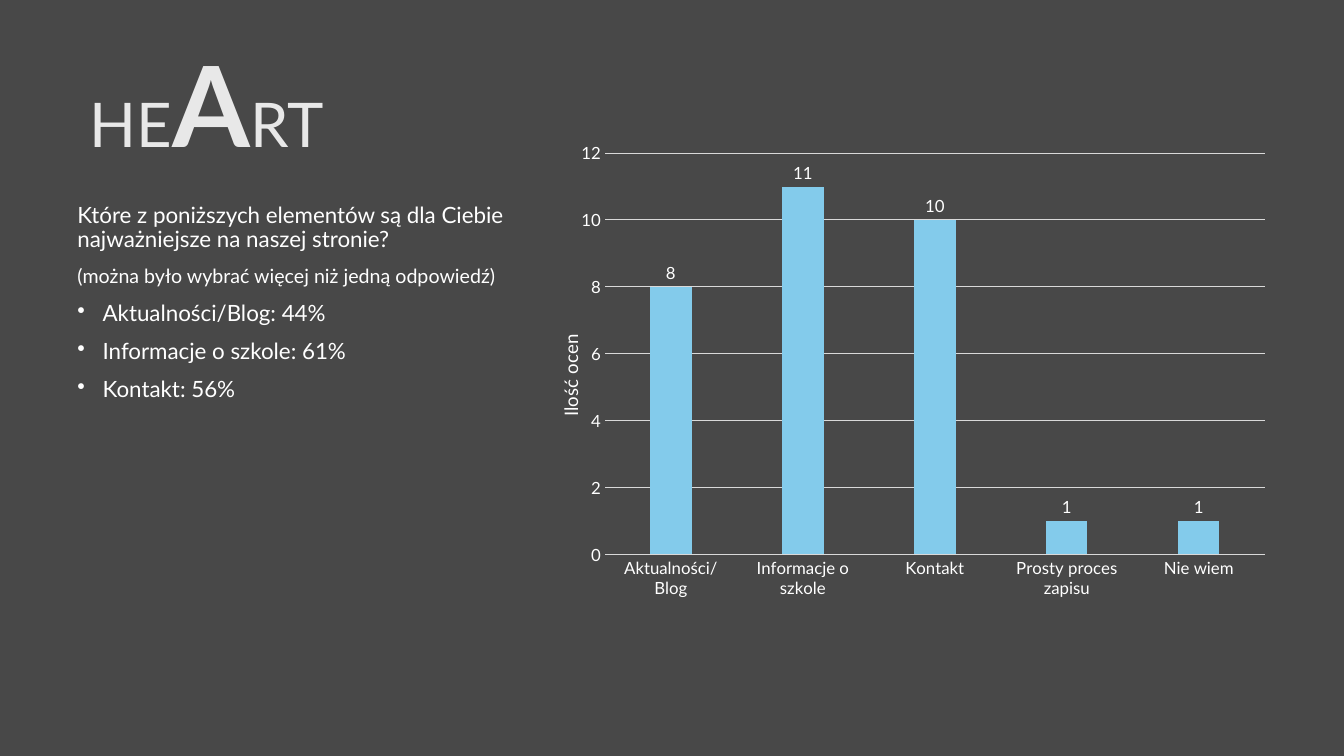
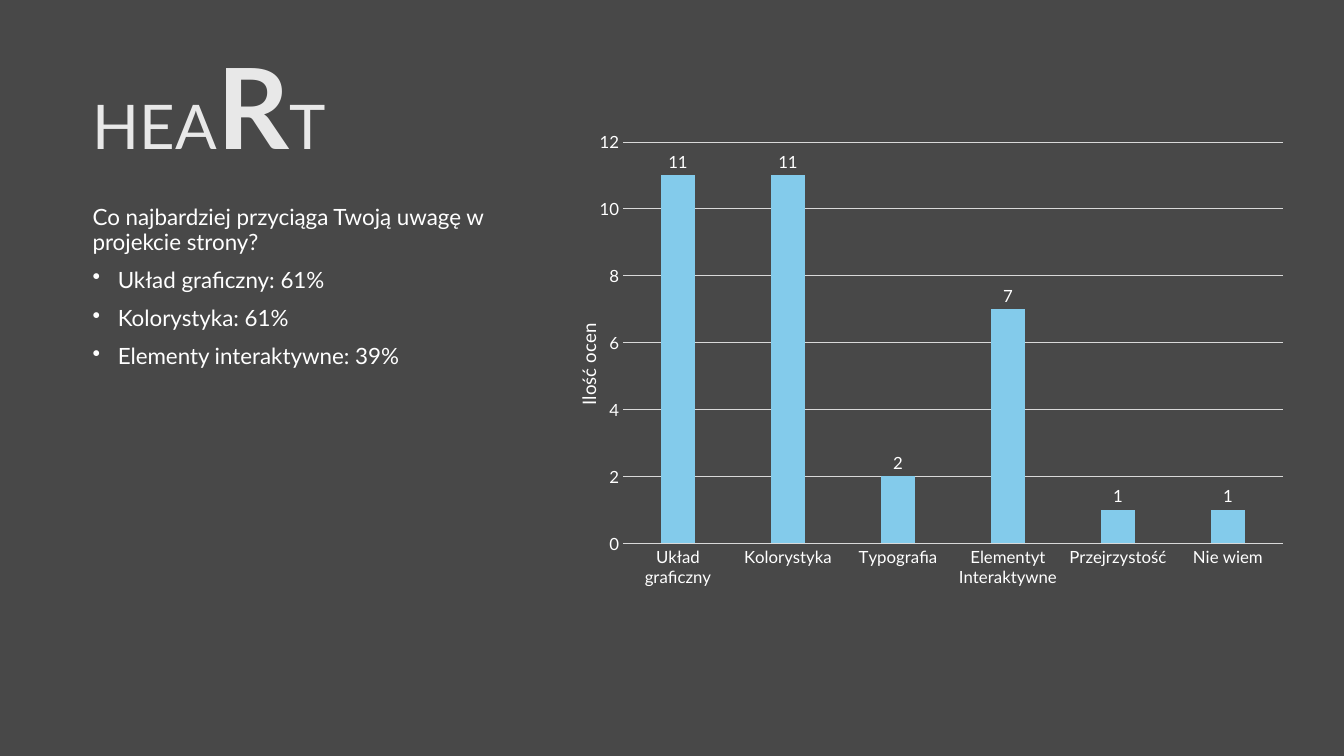
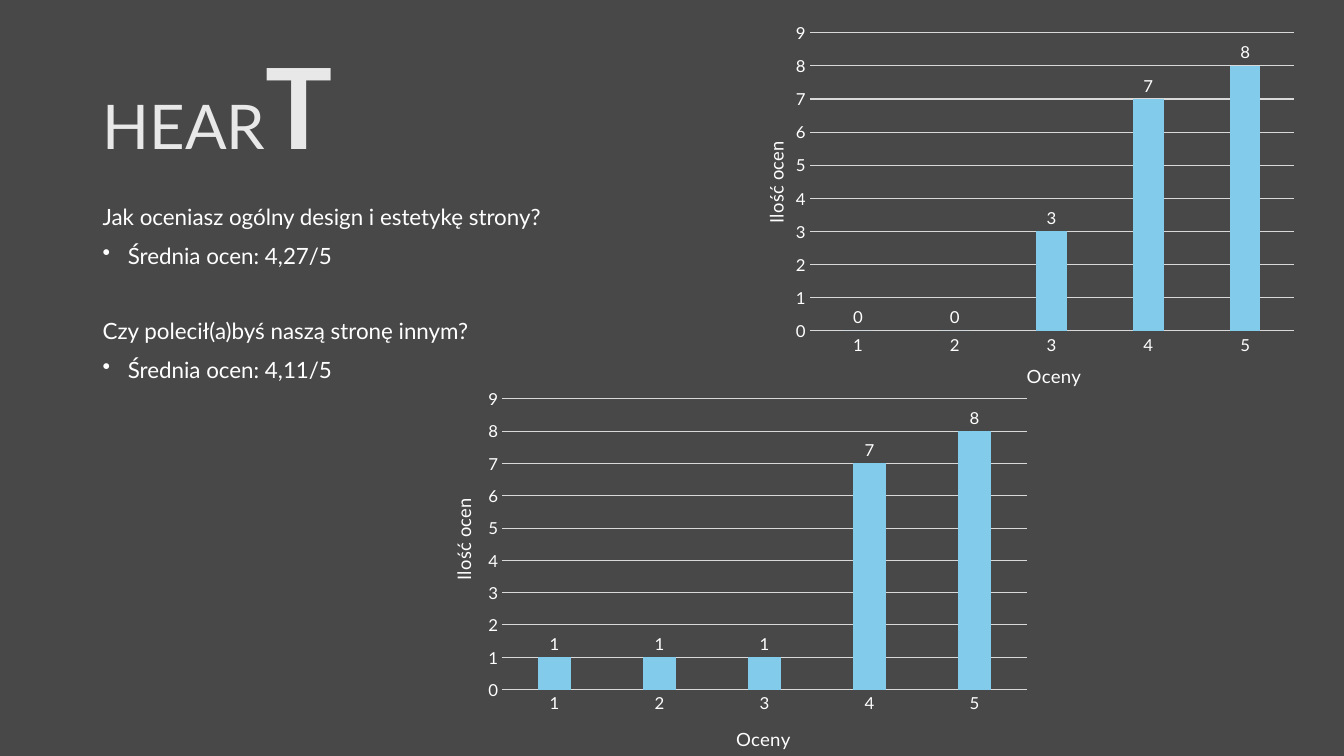
"""Build three survey result slides with a HEART title, findings and column charts."""
from lxml import etree
from pptx import Presentation
from pptx.chart.data import CategoryChartData
from pptx.dml.color import RGBColor
from pptx.enum.chart import XL_CHART_TYPE as CHART, XL_LABEL_POSITION as LABEL, XL_TICK_MARK as TICK
from pptx.enum.shapes import MSO_SHAPE as SHAPE
from pptx.enum.text import MSO_ANCHOR as ANCHOR
from pptx.oxml.ns import qn
from pptx.util import Inches, Pt

VEIL = RGBColor(0x0C, 0x0C, 0x0C)
TITLE = RGBColor(0xE8, 0xE8, 0xE8)
WHITE = RGBColor(0xFF, 0xFF, 0xFF)
GRID = RGBColor(0xD9, 0xD9, 0xD9)
BAR = RGBColor(0x83, 0xCB, 0xEB)
FONT = "Lato"
WORD = "HEART"
VALUE_TITLE, CATEGORY_TITLE = "Ilość ocen", "Oceny"
GRADES = ["1", "2", "3", "4", "5"]


def style(font, size, color=WHITE, bold=False):
    """Set the face, size, colour and weight of a font."""
    font.name, font.size, font.bold = FONT, Pt(size), bold
    font.color.rgb = color


def place(parent, index, **fractions):
    """Give a chart part a manual layout in fractions of the chart."""
    for old in parent.findall(qn("c:layout")):
        parent.remove(old)
    layout = etree.Element(qn("c:layout"))
    manual = etree.SubElement(layout, qn("c:manualLayout"))
    if "w" in fractions:
        etree.SubElement(manual, qn("c:layoutTarget")).set("val", "inner")
    for key in "xy":
        etree.SubElement(manual, qn(f"c:{key}Mode")).set("val", "edge")
    for key, value in fractions.items():
        etree.SubElement(manual, qn(f"c:{key}")).set("val", f"{value:.4f}")
    parent.insert(index, layout)


SLIDES = [
    {
        "letter": 2,
        "title": (0.79, 0.38),
        "body": (0.67, 1.98, 4.7),
        "text": [
            ("Które z poniższych elementów są dla Ciebie najważniejsze na naszej stronie?", 16, False),
            ("(można było wybrać więcej niż jedną odpowiedź)", 14, False),
            ("Aktualności/Blog: 44%", 16, True),
            ("Informacje o szkole: 61%", 16, True),
            ("Kontakt: 56%", 16, True),
        ],
        "charts": [{
            "at": (5.42, 1.28, 7.13, 4.75), "plot": (0.58, 0.24, 6.55, 3.98),
            "value_title": (0.07, 2), "top": 12, "step": 2,
            "cats": ["Aktualności/Blog", "Informacje o szkole", "Kontakt", "Prosty proces zapisu", "Nie wiem"],
            "vals": [8, 11, 10, 1, 1],
        }],
    },
    {
        "letter": 3,
        "title": (0.82, 0.4),
        "body": (0.82, 2, 4.57),
        "text": [
            ("Co najbardziej przyciąga Twoją uwagę w projekcie strony?", 16, False),
            ("Układ graficzny: 61%", 16, True),
            ("Kolorystyka: 61%", 16, True),
            ("Elementy interaktywne: 39%", 16, True),
        ],
        "charts": [{
            "at": (5.6, 1.17, 7.13, 4.75), "plot": (0.58, 0.24, 6.55, 3.98),
            "value_title": (0.07, 2), "top": 12, "step": 2,
            "cats": ["Układ graficzny", "Kolorystyka", "Typografia", "Elementyt Interaktywne",
                     "Przejrzystość", "Nie wiem"],
            "vals": [11, 11, 2, 7, 1, 1],
        }],
    },
    {
        "letter": 4,
        "title": (0.92, 0.4),
        "body": (0.92, 2, 5.57),
        "text": [
            ("Jak oceniasz ogólny design i estetykę strony?", 16, False),
            ("Średnia ocen: 4,27/5", 16, True),
            ("Czy polecił(a)byś naszą stronę innym?", 16, False),
            ("Średnia ocen: 4,11/5", 16, True),
        ],
        "charts": [
            {
                "at": (7.4, 0.13, 5.48, 3.77), "plot": (0.63, 0.2, 4.8, 3.01),
                "value_title": (0.13, 1.27), "category_title": (2.75, 3.5), "top": 9, "step": 1,
                "cats": GRADES, "vals": [0, 0, 3, 7, 8],
            },
            {
                "at": (4.23, 3.81, 5.96, 3.69), "plot": (0.75, 0.15, 5.21, 2.94),
                "value_title": (0.2, 1.13), "category_title": (3.04, 3.42), "top": 9, "step": 1,
                "cats": GRADES, "vals": [1, 1, 1, 7, 8],
            },
        ],
    },
]

prs = Presentation()
prs.slide_width, prs.slide_height = Inches(13.33), Inches(7.5)

for page in SLIDES:
    s = prs.slides.add_slide(prs.slide_layouts[6])
    sp = s.shapes.add_shape(SHAPE.RECTANGLE, 0, 0, prs.slide_width, prs.slide_height)
    sp.shadow.inherit = False
    sp.line.fill.background()
    sp.fill.solid()
    sp.fill.fore_color.rgb = VEIL
    color = sp.fill._xPr.find(".//" + qn("a:srgbClr"))
    etree.SubElement(color, qn("a:alpha")).set("val", "75000")

    x, y = page["title"]
    tf = s.shapes.add_textbox(Inches(x), Inches(y), Inches(11.5), Inches(1.45)).text_frame
    tf.word_wrap = True
    tf.vertical_anchor = ANCHOR.MIDDLE
    p = tf.paragraphs[0]
    p.line_spacing = 0.9
    i = page["letter"]
    for text, size, bold in ((WORD[:i], 44, False), (WORD[i], 80, True), (WORD[i + 1:], 44, False)):
        if text:
            r = p.add_run()
            r.text = text
            style(r.font, size, TITLE, bold)

    x, y, w = page["body"]
    tf = s.shapes.add_textbox(Inches(x), Inches(y), Inches(w), Inches(4.76)).text_frame
    tf.word_wrap = True
    after_bullet = False
    for n, (text, size, bullet) in enumerate(page["text"]):
        p = tf.add_paragraph() if n else tf.paragraphs[0]
        if bullet:
            pPr = p._p.get_or_add_pPr()
            pPr.set("marL", str(Inches(0.25)))
            pPr.set("indent", str(-Inches(0.25)))
            etree.SubElement(pPr, qn("a:buChar")).set("char", "•")
        p.line_spacing = 0.9
        if n:
            p.space_before = Pt(37 if after_bullet and not bullet else 10)
        r = p.add_run()
        r.text = text
        style(r.font, size)
        after_bullet = bullet

    for item in page["charts"]:
        data = CategoryChartData()
        data.categories = item["cats"]
        data.add_series("Series 1", item["vals"])
        width, height = item["at"][2:]
        frame = s.shapes.add_chart(CHART.COLUMN_CLUSTERED, *map(Inches, item["at"]), data)
        chart = frame.chart
        chart.has_title = chart.has_legend = False
        style(chart.font, 12)
        x, y, w, h = item["plot"]
        place(chart._chartSpace.find(".//" + qn("c:plotArea")), 0,
              x=x / width, y=y / height, w=w / width, h=h / height)

        plot = chart.plots[0]
        plot.gap_width, plot.overlap, plot.vary_by_categories = 219, -27, False
        bars = plot.series[0].format.fill
        bars.solid()
        bars.fore_color.rgb = BAR
        plot.has_data_labels = True
        labels = plot.data_labels
        labels.show_value, labels.position = True, LABEL.OUTSIDE_END
        style(labels.font, 12)

        cat, val = chart.category_axis, chart.value_axis
        val.minimum_scale, val.maximum_scale, val.major_unit = 0, item["top"], item["step"]
        val.has_major_gridlines = True
        val.format.line.fill.background()
        for line in (cat.format.line, val.major_gridlines.format.line):
            line.color.rgb, line.width = GRID, Pt(0.75)
        for axis, text, key, turn in ((val, VALUE_TITLE, "value_title", -90),
                                      (cat, CATEGORY_TITLE, "category_title", 0)):
            axis.major_tick_mark = axis.minor_tick_mark = TICK.NONE
            style(axis.tick_labels.font, 12)
            axis.has_title = key in item
            if axis.has_title:
                title = axis.axis_title
                r = title.text_frame.paragraphs[0].add_run()
                r.text = text
                style(r.font, 13.3)
                title._element.find(".//" + qn("a:bodyPr")).set("rot", str(turn * 60000))
                x, y = item[key]
                place(title._element, 1, x=x / width, y=y / height)

prs.save("out.pptx")
